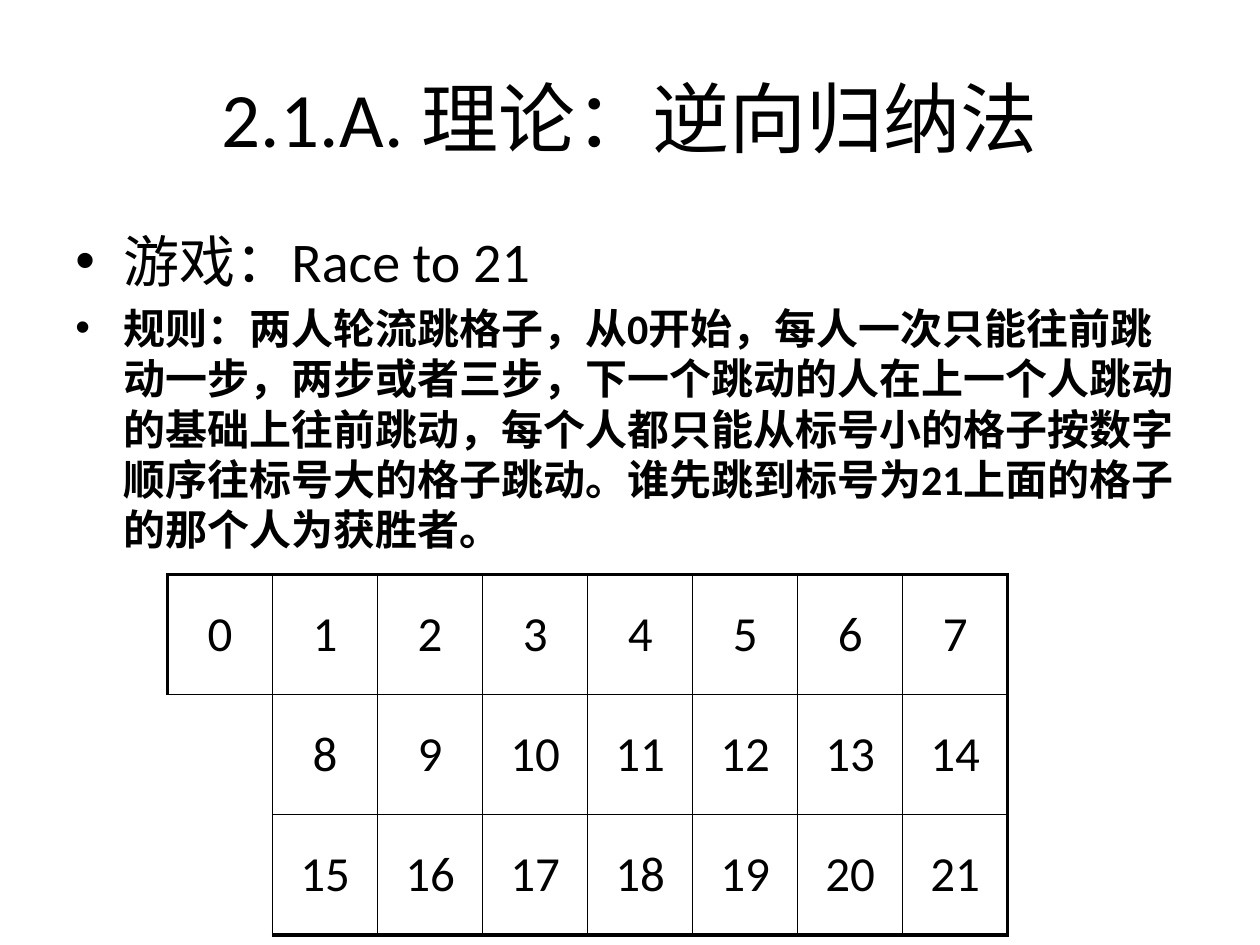
from lxml import etree
from pptx import Presentation
from pptx.dml.color import RGBColor
from pptx.enum.text import MSO_ANCHOR, PP_ALIGN
from pptx.oxml.ns import qn
from pptx.util import Inches, Pt

MIDDLE, TOP = MSO_ANCHOR.MIDDLE, MSO_ANCHOR.TOP
CENTER, LEFT = PP_ALIGN.CENTER, PP_ALIGN.LEFT
COLORS = {"text": "000000", "border": "000000", "page": "FFFFFF"}
FONT = "Calibri"
THIN, THICK = 1, 2.25
ROWS, COLUMNS = 3, 8

TITLE = "2.1.A. 理论：逆向归纳法"
# Text, size, bold
BULLETS = [
    ("游戏：Race to 21", 32, False),
    ("规则：两人轮流跳格子，从0开始，每人一次只能往前跳动一步，两步或者三步，"
     "下一个跳动的人在上一个人跳动的基础上往前跳动，每个人都只能从标号小的格子"
     "按数字顺序往标号大的格子跳动。谁先跳到标号为21上面的格子的那个人为获胜者。",
     24, True),
]


def style_paragraph(para, text, size, align, bold=False):
    para.text = text
    para.alignment = align
    para.font.name = FONT
    para.font.size = Pt(size)
    para.font.bold = bold
    para.font.color.rgb = RGBColor.from_string(COLORS["text"])


def add_text_frame(page, box, anchor):
    frame = page.shapes.add_textbox(*map(Inches, box)).text_frame
    frame.word_wrap = True
    frame.vertical_anchor = anchor
    return frame


def add_title(page, box):
    frame = add_text_frame(page, box, MIDDLE)
    style_paragraph(frame.paragraphs[0], TITLE, 44, CENTER)


def add_bullets(page, box):
    frame = add_text_frame(page, box, TOP)
    for index, (text, size, bold) in enumerate(BULLETS):
        para = frame.add_paragraph() if index else frame.paragraphs[0]
        style_paragraph(para, text, size, LEFT, bold)
        para.space_before = Pt(0.2 * size)
        # Hanging bullet
        properties = para._p.get_or_add_pPr()
        properties.set("marL", str(Inches(0.38)))
        properties.set("indent", str(-Inches(0.38)))
        etree.SubElement(properties, qn("a:buFont"), typeface="Arial")
        etree.SubElement(properties, qn("a:buChar"), char="•")


def set_borders(cell, widths):
    """Draw the left, right, top and bottom borders; a width of 0 hides one."""
    properties = cell._tc.get_or_add_tcPr()
    for side, width in zip("LRTB", widths):
        line = etree.SubElement(properties, qn(f"a:ln{side}"), w=str(Pt(width)))
        if width:
            fill = etree.SubElement(line, qn("a:solidFill"))
            etree.SubElement(fill, qn("a:srgbClr"), val=COLORS["border"])
        else:
            etree.SubElement(line, qn("a:noFill"))


def add_board(page, box):
    left, top, width, height = map(Inches, box)
    table = page.shapes.add_table(ROWS, COLUMNS, left, top, width, height).table
    table.first_row = table.horz_banding = False
    table.cell(1, 0).merge(table.cell(2, 0))

    for row in range(ROWS):
        for column in range(COLUMNS):
            cell = table.cell(row, column)
            blank = row > 0 and column == 0
            if blank:
                set_borders(cell, (0, THIN, THIN if row == 1 else 0, 0))
            else:
                set_borders(cell, (
                    THICK if column == 0 else THIN,
                    THICK if column == COLUMNS - 1 else THIN,
                    THICK if row == 0 else THIN,
                    THICK if row == ROWS - 1 else THIN,
                ))
            cell.fill.background()
            if blank:
                continue
            # Each row carries on from the last square of the row above
            number = row * (COLUMNS - 1) + column
            cell.vertical_anchor = MIDDLE
            para = cell.text_frame.paragraphs[0]
            style_paragraph(para, str(number), 28, CENTER)
            para.space_before = Pt(5.6)


def main():
    deck = Presentation()
    deck.slide_width, deck.slide_height = Inches(10), Inches(7.5)
    page = deck.slides.add_slide(deck.slide_layouts[6])
    page.background.fill.solid()
    page.background.fill.fore_color.rgb = RGBColor.from_string(COLORS["page"])

    add_title(page, (0.5, 0.3, 9, 1.25))
    add_bullets(page, (0.5, 1.75, 9, 5.5))
    add_board(page, (1.33, 4.56, 6.67, 2.86))
    deck.save("out.pptx")


if __name__ == "__main__":
    main()
